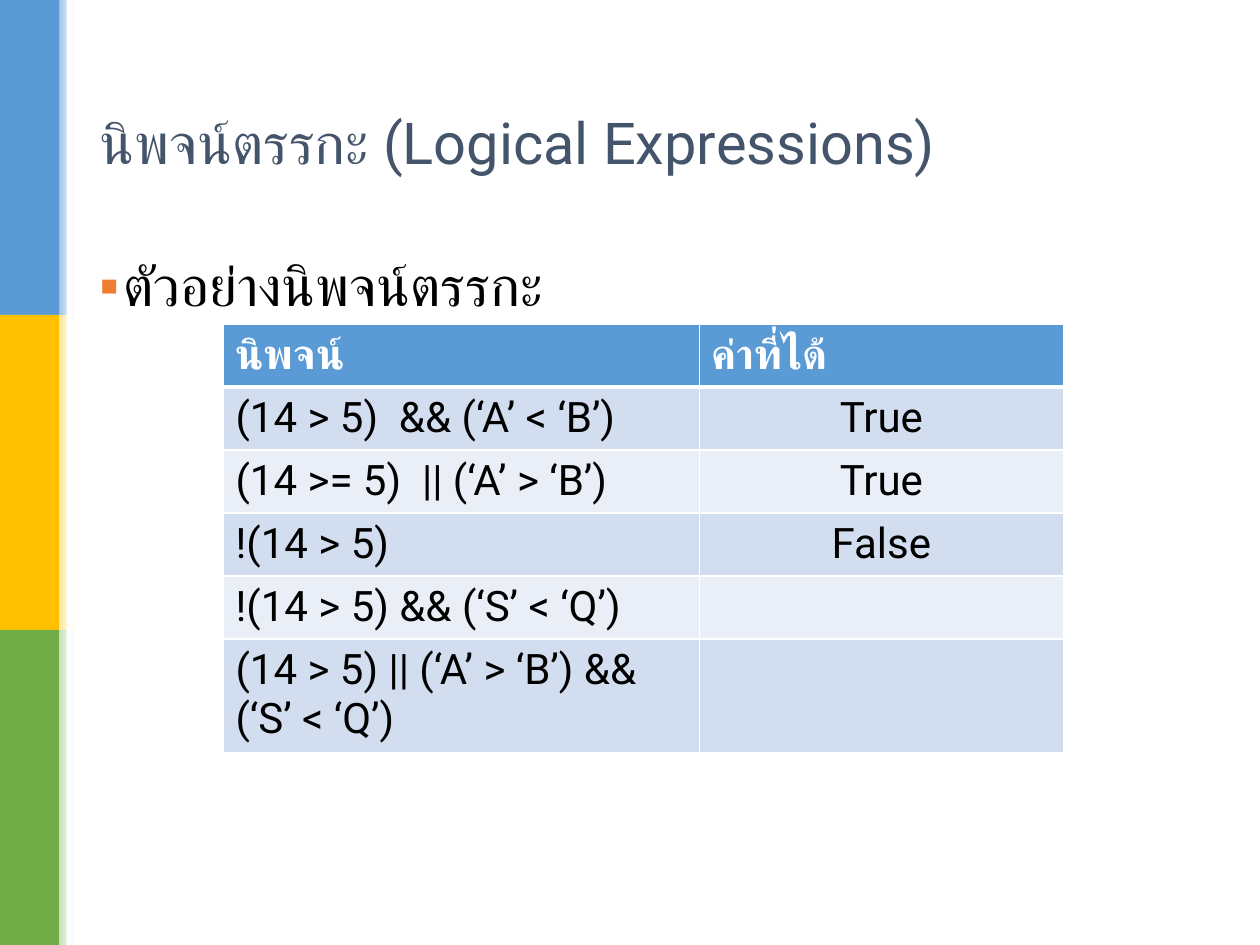
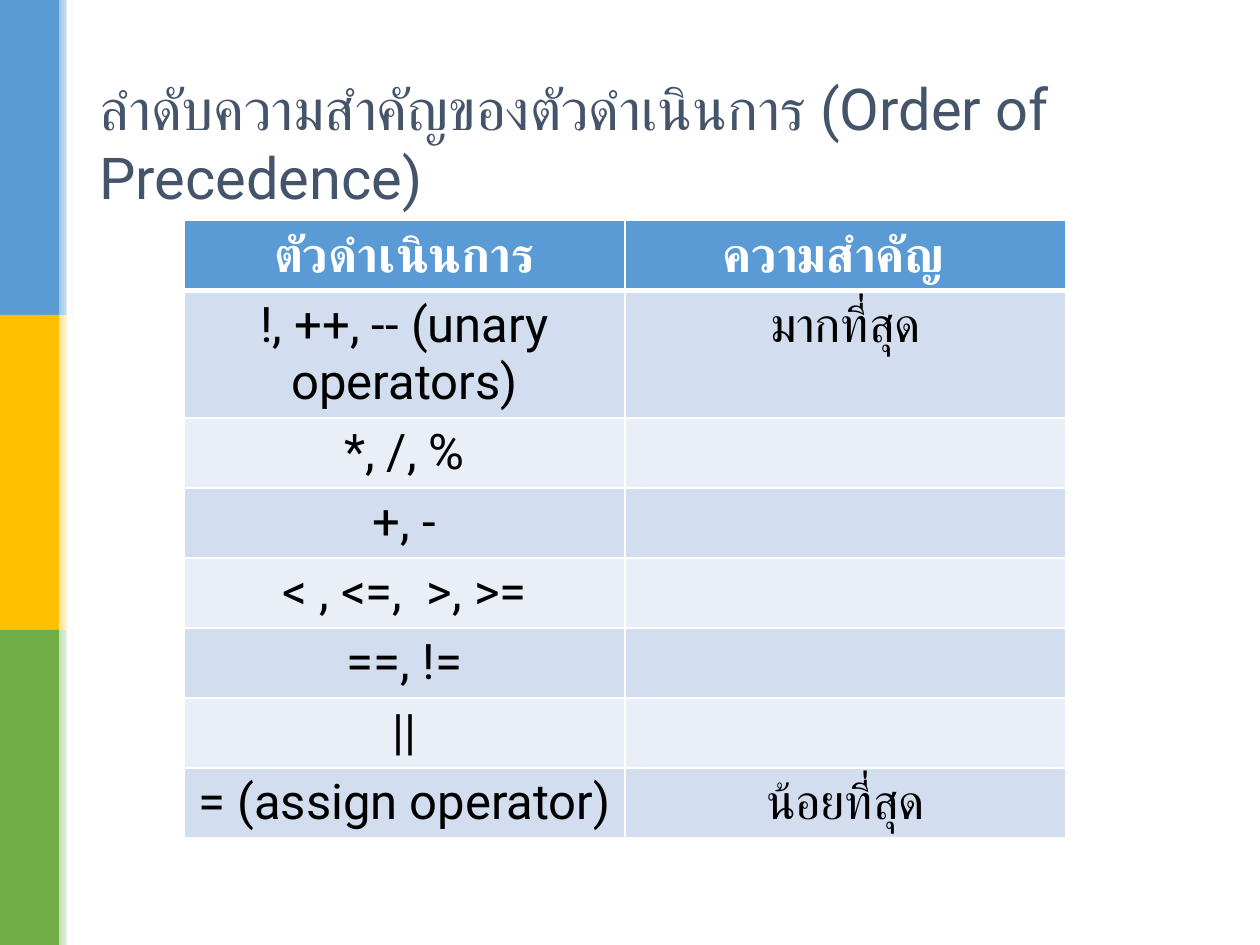
import pptx
import pptx.util
import pptx.dml.color
import pptx.enum.dml
import pptx.enum.shapes
import pptx.enum.text
import pptx.oxml.ns
import lxml.etree

COLOURS = {
    "blue": "5B9BD5", "gold": "FFC000", "green": "70AD47",
    "pale_blue": "9DC3E6", "pale_gold": "FFE699", "pale_green": "C5E0B4",
    "title": "44546A", "bullet": "ED7D31", "text": "000000", "white": "FFFFFF",
    "odd_row": "D2DEEF", "even_row": "EAEFF7",
}
FONT = "Roboto"
WIDTH, HEIGHT = 10, 7.5
BANDS = [("blue", "pale_blue"), ("gold", "pale_gold"), ("green", "pale_green")]
BAND_WIDTH, FADE_WIDTH = 0.47, 0.12
TITLE_AREA = (0.69, 0.4, 8.62, 1.45)
BODY_AREA = (0.69, 2, 8.62, 4.76)
ROW_HEIGHT = 0.41
LEFT = pptx.enum.text.PP_ALIGN.LEFT
CENTER = pptx.enum.text.PP_ALIGN.CENTER

PAGES = [
    {
        "title": "นิพจน์ตรรกะ (Logical Expressions)",
        "bullet": "ตัวอย่างนิพจน์ตรรกะ",
        "corner": (1.77, 2.57),
        "columns": (3.78, 2.89),
        "size": 24,
        "header_align": (LEFT, LEFT),
        "align": (LEFT, CENTER),
        "rows": [
            ("นิพจน์", "ค่าที่ได้"),
            ("(14 > 5)  && (‘A’ < ‘B’)", "True"),
            ("(14 >= 5)  || (‘A’ > ‘B’)", "True"),
            ("!(14 > 5)", "False"),
            ("!(14 > 5) && (‘S’ < ‘Q’)", ""),
            ("(14 > 5) || (‘A’ > ‘B’) && (‘S’ < ‘Q’)", ""),
        ],
    },
    {
        "title": "ลำดับความสำคัญของตัวดำเนินการ (Order of Precedence)",
        "bullet": "",
        "corner": (1.46, 1.75),
        "columns": (3.5, 3.5),
        "size": 28,
        "header_align": (CENTER, CENTER),
        "align": (CENTER, CENTER),
        "rows": [
            ("ตัวดำเนินการ", "ความสำคัญ  "),
            ("!, ++, -- (unary operators)", "มากที่สุด"),
            ("*, /, %", ""),
            ("+, -", ""),
            ("< , <=,  >, >=", ""),
            ("==, !=", ""),
            ("||", ""),
            ("= (assign operator)", "น้อยที่สุด"),
        ],
    },
]


def inches(values):
    return [pptx.util.Inches(value) for value in values]


def rgb(name):
    return pptx.dml.color.RGBColor.from_string(COLOURS[name])


def add_child(parent, tag, **attributes):
    return lxml.etree.SubElement(parent, pptx.oxml.ns.qn(tag), attributes)


def write(para, text, size, colour, bold=False, align=LEFT):
    para.alignment = align
    if not text:
        return
    span = para.add_run()
    span.text = text
    formats = {"name": FONT, "size": pptx.util.Pt(size), "bold": bold}
    for key, value in formats.items():
        setattr(span.font, key, value)
    span.font.color.rgb = rgb(colour)
    add_child(span.font._element, "a:cs", typeface=FONT)


def add_block(page, area, colour, fade=False):
    block = page.shapes.add_shape(
        pptx.enum.shapes.MSO_SHAPE.RECTANGLE, *inches(area))
    block.shadow.inherit = False
    block.line.fill.background()
    if fade:
        block.fill.gradient()
        block.fill.gradient_angle = 0
        for stop, name, position in zip(
                block.fill.gradient_stops, (colour, "white"), (0, 1)):
            stop.color.rgb = rgb(name)
            stop.position = position
    else:
        block.fill.solid()
        block.fill.fore_color.rgb = rgb(colour)


def add_bands(page):
    height = HEIGHT / len(BANDS)
    for index, (strong, pale) in enumerate(BANDS):
        top = index * height
        add_block(page, (0, top, BAND_WIDTH, height), strong)
        add_block(page, (BAND_WIDTH, top, FADE_WIDTH, height), pale, fade=True)
    add_block(page, (0.53, 0, 0.04, HEIGHT), "white")


def place_title(page, text):
    title = page.shapes.title
    for key, value in zip(("left", "top", "width", "height"), inches(TITLE_AREA)):
        setattr(title, key, value)
    frame = title.text_frame
    formats = {
        "word_wrap": True,
        "auto_size": pptx.enum.text.MSO_AUTO_SIZE.NONE,
        "vertical_anchor": pptx.enum.text.MSO_ANCHOR.MIDDLE,
    }
    for key, value in formats.items():
        setattr(frame, key, value)
    write(frame.paragraphs[0], text, 33, "title")


def add_bullet(page, text):
    box = page.shapes.add_textbox(*inches(BODY_AREA))
    box.text_frame.word_wrap = True
    para = box.text_frame.paragraphs[0]
    para.line_spacing = 0.9
    para.space_before = pptx.util.Pt(9.6)
    write(para, text, 32, "text")
    properties = para._p.get_or_add_pPr()
    indent = pptx.util.Inches(0.19)
    properties.set("marL", str(indent))
    properties.set("indent", str(-indent))
    bullet_colour = add_child(properties, "a:buClr")
    add_child(bullet_colour, "a:srgbClr", val=COLOURS["bullet"])
    add_child(properties, "a:buFont", typeface="Arial")
    add_child(properties, "a:buChar", char="▪")


def style_cell(cell, fill, bottom):
    properties = cell._tc.get_or_add_tcPr()
    for side, points in (("L", 1), ("R", 1), ("T", 1), ("B", bottom)):
        line = add_child(properties, "a:ln" + side, w=str(pptx.util.Pt(points)))
        paint = add_child(line, "a:solidFill")
        add_child(paint, "a:srgbClr", val=COLOURS["white"])
    cell.fill.solid()
    cell.fill.fore_color.rgb = rgb(fill)


def add_grid(page, content):
    rows, columns = content["rows"], content["columns"]
    area = (*content["corner"], sum(columns), ROW_HEIGHT * len(rows))
    table = page.shapes.add_table(len(rows), len(columns), *inches(area)).table
    for column, width in zip(table.columns, inches(columns)):
        column.width = width
    for row_index, row in enumerate(rows):
        header = row_index == 0
        fill = "blue" if header else "odd_row" if row_index % 2 else "even_row"
        colour = "white" if header else "text"
        aligns = content["header_align" if header else "align"]
        for column_index, text in enumerate(row):
            cell = table.cell(row_index, column_index)
            style_cell(cell, fill, 3 if header else 1)
            write(cell.text_frame.paragraphs[0], text, content["size"],
                  colour, header, aligns[column_index])


deck = pptx.Presentation()
deck.slide_width, deck.slide_height = inches((WIDTH, HEIGHT))
for content in PAGES:
    page = deck.slides.add_slide(deck.slide_layouts[5])
    add_bands(page)
    place_title(page, content["title"])
    if content["bullet"]:
        add_bullet(page, content["bullet"])
    add_grid(page, content)
deck.save("out.pptx")
